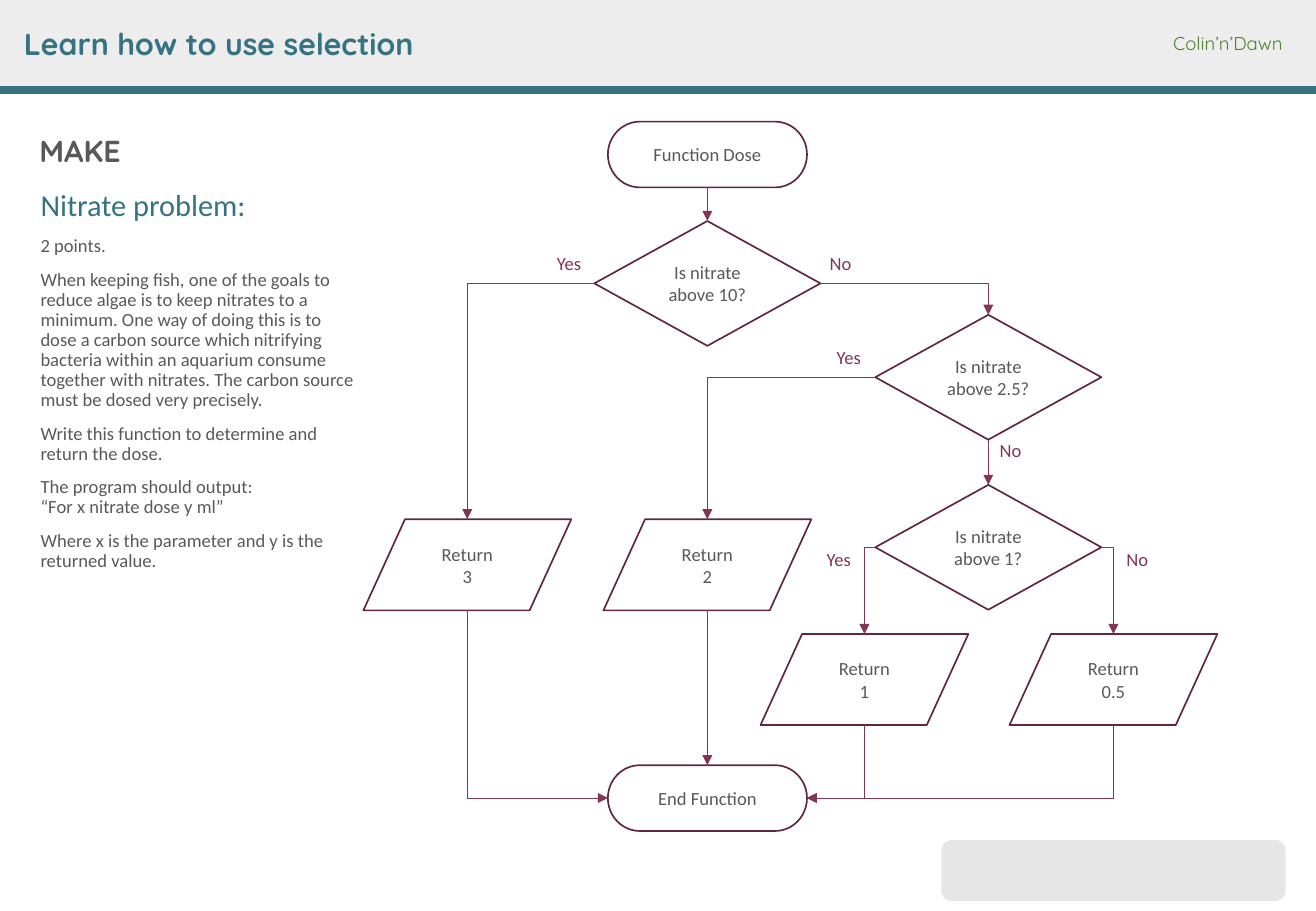
from copy import deepcopy
from dataclasses import dataclass

from lxml.etree import SubElement
from pptx import Presentation
from pptx.dml.color import RGBColor as RGB
from pptx.enum.shapes import MSO_CONNECTOR as CXN, MSO_SHAPE as SHAPE
from pptx.enum.text import MSO_ANCHOR as ANCHOR, MSO_AUTO_SIZE as AUTO, PP_ALIGN as ALIGN
from pptx.oxml.ns import qn
from pptx.util import Pt


@dataclass(frozen=True)
class Theme:
    teal: str = "357382"
    green: str = "538135"
    text: str = "595959"
    outline: str = "60273E"
    arrow: str = "823554"
    pale: str = "E7E6E6"
    band: str = "EDEDED"
    white: str = "FFFFFF"
    head_font: str = "Quicksand"
    body_font: str = "Calibri"
    small: int = 11
    large: int = 18


T = Theme()


def write(p, text, font=T.body_font, size=T.small, color=T.text, bold=False, align=ALIGN.LEFT):
    """Fill a paragraph; a vertical tab in the text becomes a line break."""
    p.text = text
    p.alignment = align
    for r in p.runs:
        r.font.name, r.font.size, r.font.bold = font, Pt(size), bold
        r.font.color.rgb = RGB.from_string(color)
    for br in p._p.findall(qn("a:br")):
        br.insert(0, deepcopy(p.runs[0]._r.rPr))


prs = Presentation()
prs.slide_width, prs.slide_height = Pt(780), Pt(540)
s = prs.slides.add_slide(prs.slide_layouts[1])

# Title and task description
title, body = s.placeholders[0], s.placeholders[1]
for ph, (x, y, w, h), anchor in [(title, (7, 11.5, 360, 29), ANCHOR.MIDDLE),
                                 (body, (16.8, 109.4, 202, 374.4), ANCHOR.TOP)]:
    ph.left, ph.top, ph.width, ph.height = Pt(x), Pt(y), Pt(w), Pt(h)
    tf = ph.text_frame
    tf.word_wrap, tf.auto_size, tf.vertical_anchor = True, AUTO.NONE, anchor
write(title.text_frame.paragraphs[0], "Learn how to use selection",
      font=T.head_font, size=T.large, color=T.teal, bold=True)

task = [
    "Nitrate problem:",
    "2 points.",
    "When keeping fish, one of the goals to reduce algae is to keep nitrates to a minimum. "
    "One way of doing this is to dose a carbon source which nitrifying bacteria within an "
    "aquarium consume together with nitrates. The carbon source must be dosed very precisely.",
    "Write this function to determine and return the dose.",
    "The program should output:\v“For x nitrate dose y ml”",
    "Where x is the parameter and y is the returned value.",
]
for i, text in enumerate(task):
    p = body.text_frame.add_paragraph() if i else body.text_frame.paragraphs[0]
    pPr = p._p.get_or_add_pPr()
    pPr.set("marL", "0")
    pPr.set("indent", "0")
    SubElement(pPr, qn("a:buNone"))
    p.line_spacing, p.space_before = 0.9, Pt(8 if i else 0)
    write(p, text, **({} if i else dict(size=T.large, color=T.teal)))

# Flowchart nodes: kind, centre x, centre y, text
sizes = {SHAPE.FLOWCHART_TERMINATOR: (118, 39), SHAPE.FLOWCHART_DECISION: (134, 74),
         SHAPE.FLOWCHART_DATA: (123.2, 54)}
col3, col2, col1, right, col05 = 277, 419.3, 512.4, 585.8, 660
start_y, end_y, ask10, ask25, ask1 = 91.6, 473.1, 168, 223.6, 324.4
upper, lower = 334.8, 402.8
nodes = [
    (SHAPE.FLOWCHART_TERMINATOR, col2, start_y, "Function Dose"),
    (SHAPE.FLOWCHART_DECISION, col2, ask10, "Is nitrate above 10?"),
    (SHAPE.FLOWCHART_DECISION, right, ask25, "Is nitrate above 2.5?"),
    (SHAPE.FLOWCHART_DECISION, right, ask1, "Is nitrate above 1?"),
    (SHAPE.FLOWCHART_DATA, col3, upper, "Return\v3"),
    (SHAPE.FLOWCHART_DATA, col2, upper, "Return\v2"),
    (SHAPE.FLOWCHART_DATA, col1, lower, "Return\v1"),
    (SHAPE.FLOWCHART_DATA, col05, lower, "Return\v0.5"),
    (SHAPE.FLOWCHART_TERMINATOR, col2, end_y, "End Function"),
]

# Shapes: kind, centre x, centre y, width, height, fill, line, text
band_h = 53.3
shapes = [(SHAPE.RECTANGLE, 390, band_h / 2, 780, band_h, T.band, None, ""),
          (SHAPE.ROUNDED_RECTANGLE, 660, 516, 204, 36, T.pale, None, "")]
shapes += [(kind, x, y, *sizes[kind], T.white, T.outline, text) for kind, x, y, text in nodes]
for kind, x, y, w, h, fill, line, text in shapes:
    sp = s.shapes.add_shape(kind, Pt(x - w / 2), Pt(y - h / 2), Pt(w), Pt(h))
    sp.shadow.inherit = False
    sp.fill.solid()
    sp.fill.fore_color.rgb = RGB.from_string(fill)
    if line:
        sp.line.color.rgb, sp.line.width = RGB.from_string(line), Pt(1)
    else:
        sp.line.fill.background()
    if kind == SHAPE.RECTANGLE:
        s.shapes._spTree.insert(2, sp._element)  # the band lies behind the title
    if text:
        write(sp.text_frame.paragraphs[0], text, align=ALIGN.CENTER)

# Flow arrows; elbows run horizontally first, so those into the end node start there
ask_w, ask_h = (v / 2 for v in sizes[SHAPE.FLOWCHART_DECISION])
end_w, end_h = (v / 2 for v in sizes[SHAPE.FLOWCHART_TERMINATOR])
ret_h = sizes[SHAPE.FLOWCHART_DATA][1] / 2
flows = [
    (CXN.STRAIGHT, (col2, start_y + end_h), (col2, ask10 - ask_h), "a:tailEnd"),
    (CXN.STRAIGHT, (right, ask25 + ask_h), (right, ask1 - ask_h), "a:tailEnd"),
    (CXN.STRAIGHT, (col2, upper + ret_h), (col2, end_y - end_h), "a:tailEnd"),
    (CXN.ELBOW, (col2 + ask_w, ask10), (right, ask25 - ask_h), "a:tailEnd"),
    (CXN.ELBOW, (col2 - ask_w, ask10), (col3, upper - ret_h), "a:tailEnd"),
    (CXN.ELBOW, (right - ask_w, ask25), (col2, upper - ret_h), "a:tailEnd"),
    (CXN.ELBOW, (right - ask_w, ask1), (col1, lower - ret_h), "a:tailEnd"),
    (CXN.ELBOW, (right + ask_w, ask1), (col05, lower - ret_h), "a:tailEnd"),
    (CXN.ELBOW, (col2 - end_w, end_y), (col3, upper + ret_h), "a:headEnd"),
    (CXN.ELBOW, (col2 + end_w, end_y), (col1, lower + ret_h), "a:headEnd"),
    (CXN.ELBOW, (col2 + end_w, end_y), (col05, lower + ret_h), "a:headEnd"),
]
lines = [(CXN.STRAIGHT, (0, band_h), (780, band_h), T.teal, 4.5, None)]
lines += [(kind, a, b, T.arrow, 0.5, head) for kind, a, b, head in flows]
for kind, a, b, color, weight, head in lines:
    c = s.shapes.add_connector(kind, *(Pt(v) for v in a + b))
    c.line.color.rgb, c.line.width = RGB.from_string(color), Pt(weight)
    spPr = c._element.spPr
    if kind == CXN.ELBOW:
        spPr.find(qn("a:prstGeom")).set("prst", "bentConnector2")
    if head:
        SubElement(c.line._get_or_add_ln(), qn(head), type="triangle")
    SubElement(spPr, qn("a:effectLst"))

# Text boxes: text, left, top, width, height, format
boxes = [
    ("Colin’n’Dawn", 688.3, 15.1, 88, 21, dict(font=T.head_font, color=T.green)),
    ("MAKE", 16.2, 74.9, 80, 29, dict(font=T.head_font, size=T.large, bold=True)),
]
label_w = 36
boxes += [(text, x - label_w / 2, y, label_w, 21, dict(color=T.arrow, align=ALIGN.CENTER))
          for text, x, y in [("Yes", 337.3, 146), ("No", 498.2, 146), ("Yes", 503.1, 201.6),
                             ("No", 599, 256.5), ("Yes", 497.2, 321), ("No", 674.1, 321)]]
for text, x, y, w, h, fmt in boxes:
    tf = s.shapes.add_textbox(Pt(x), Pt(y), Pt(w), Pt(h)).text_frame
    tf.word_wrap = True
    write(tf.paragraphs[0], text, **fmt)

prs.save("out.pptx")
